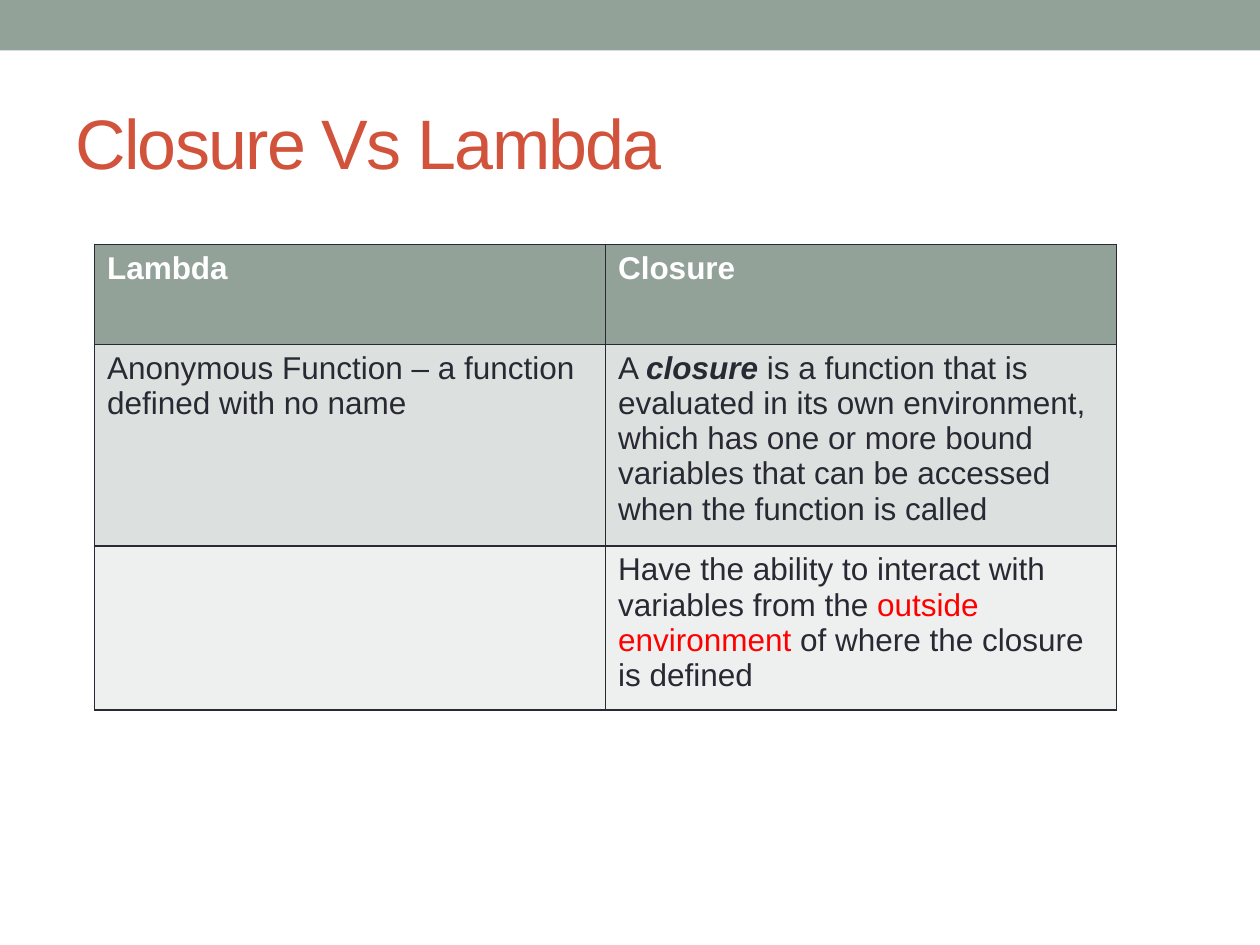
from lxml import etree
from pptx import Presentation
from pptx.dml.color import RGBColor
from pptx.enum import shapes, text
from pptx.oxml.ns import qn
from pptx.util import Pt

SAGE = RGBColor(0x93, 0xA2, 0x99)
BAND_DARK = RGBColor(0xDC, 0xE0, 0xDE)
BAND_LIGHT = RGBColor(0xEE, 0xF0, 0xEF)
INK = RGBColor(0x29, 0x29, 0x34)
RUST = RGBColor(0xD2, 0x53, 0x3C)
RED = RGBColor(0xFF, 0x00, 0x00)
WHITE = RGBColor(0xFF, 0xFF, 0xFF)
FONT = "Arial"

# Each cell is a list of (words, style) runs.
HEADER = {"color": WHITE, "bold": True}
ROWS = [
    (57, SAGE, [[("Lambda", HEADER)], [("Closure", HEADER)]]),
    (51, BAND_DARK, [
        [("Anonymous Function – a function defined with no name", {})],
        [("A ", {}),
         ("closure", {"bold": True, "italic": True}),
         (" is a function that is evaluated in its own environment, which has "
          "one or more bound variables that can be accessed when the function "
          "is called", {})],
    ]),
    (51, BAND_LIGHT, [
        [],
        [("Have the ability to interact with variables from the ", {}),
         ("outside environment", {"color": RED}),
         (" of where the closure is defined", {})],
    ]),
]


def add_span(para, words, size, color=INK, bold=False, italic=False):
    span = para.add_run()
    span.text = words
    span.font.name = FONT
    span.font.size = Pt(size)
    span.font.color.rgb = color
    span.font.bold = bold
    span.font.italic = italic
    return span


def add_top_band(page, left, top, width, height):
    band = page.shapes.add_shape(shapes.MSO_SHAPE.RECTANGLE,
                                 Pt(left), Pt(top), Pt(width), Pt(height))
    band.shadow.inherit = False
    band.fill.solid()
    band.fill.fore_color.rgb = SAGE
    band.line.fill.background()


def add_title(page, left, top, width, height):
    box = page.shapes.add_textbox(Pt(left), Pt(top), Pt(width), Pt(height))
    frame = box.text_frame
    frame.word_wrap = True
    frame.vertical_anchor = text.MSO_ANCHOR.MIDDLE
    span = add_span(frame.paragraphs[0], "Closure Vs Lambda", 40, RUST)
    span.font._element.set("spc", "-100")


def add_borders(cell):
    properties = cell._tc.get_or_add_tcPr()
    for side in ("a:lnL", "a:lnR", "a:lnT", "a:lnB"):
        line = etree.SubElement(properties, qn(side), w=str(Pt(1)))
        fill = etree.SubElement(line, qn("a:solidFill"))
        etree.SubElement(fill, qn("a:srgbClr"), val=str(INK))


def add_comparison(page, left, top, width, height):
    """Place the table; rows grow from their minimum heights to fit the text."""
    columns = len(ROWS[0][2])
    holder = page.shapes.add_table(len(ROWS), columns,
                                   Pt(left), Pt(top), Pt(width), Pt(height))
    table = holder.table
    for column in table.columns:
        column.width = Pt(width / columns)
    for row, (row_height, color, cells) in zip(table.rows, ROWS):
        row.height = Pt(row_height)
        for cell, spans in zip(row.cells, cells):
            add_borders(cell)
            cell.fill.solid()
            cell.fill.fore_color.rgb = color
            para = cell.text_frame.paragraphs[0]
            para.font.size = Pt(18)
            for words, style in spans:
                add_span(para, words, 18, **style)
    holder.height = Pt(height)


def main():
    deck = Presentation()
    deck.slide_width, deck.slide_height = Pt(720), Pt(540)
    page = deck.slides.add_slide(deck.slide_layouts[6])
    add_top_band(page, 0, 0, 720, 28.8)
    add_title(page, 36, 42, 648, 78)
    add_comparison(page, 54, 139.75, 584, 265.75)
    deck.save("out.pptx")


if __name__ == "__main__":
    main()
